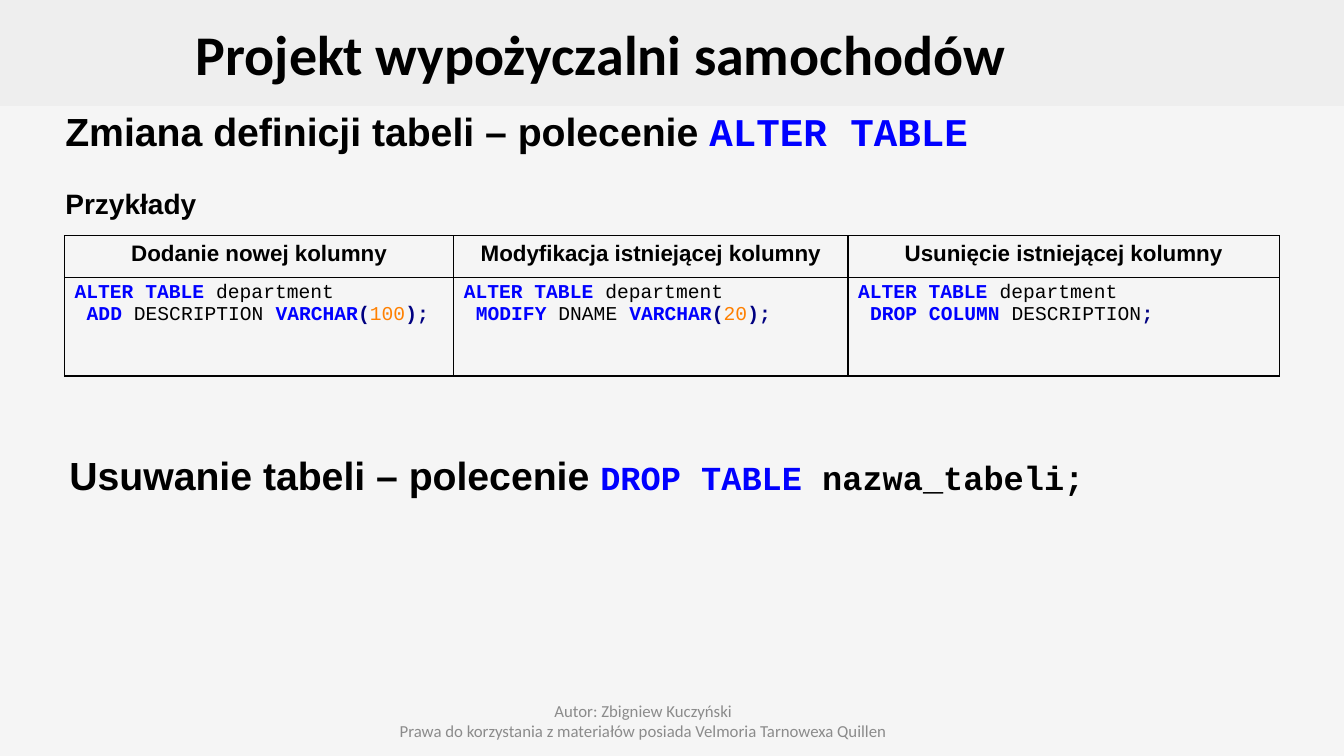
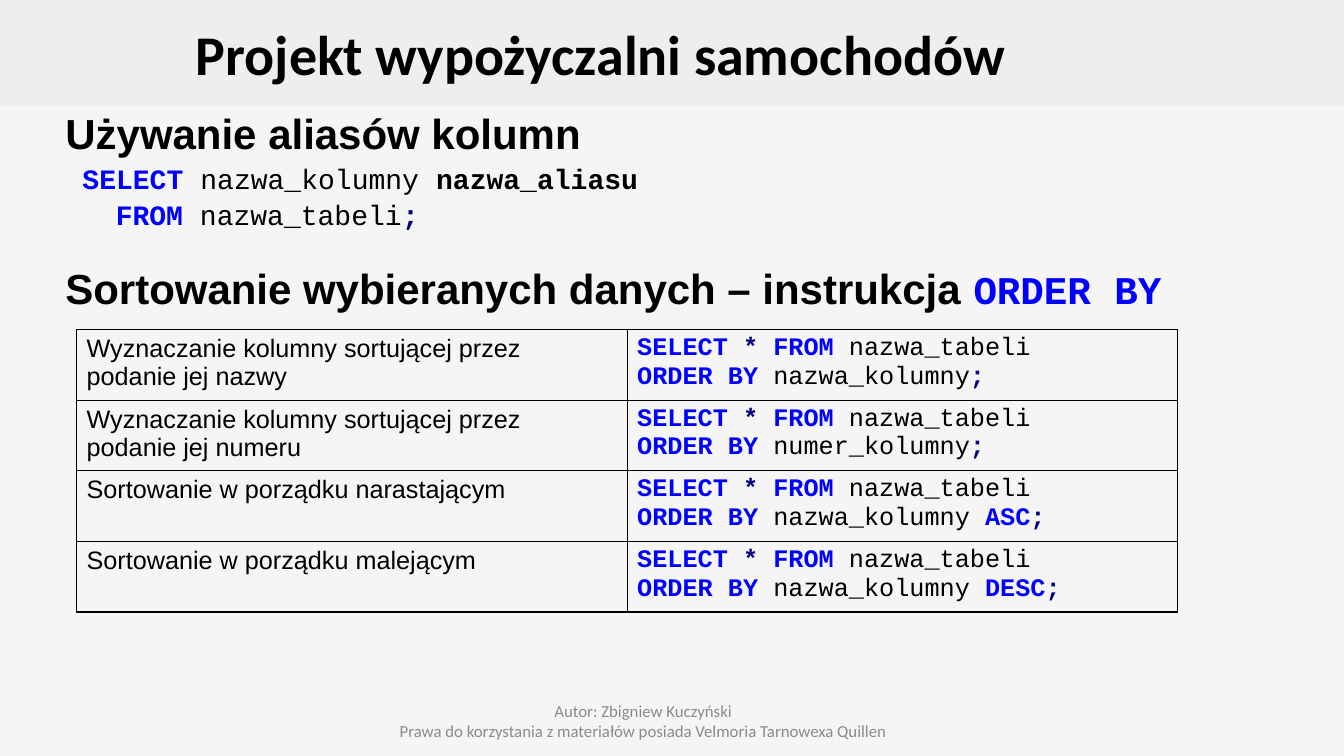
"""Build two SQL lesson slides about altering, dropping and sorting tables."""
from dataclasses import dataclass
from functools import partial
from typing import Optional

from lxml.etree import SubElement
from pptx import Presentation
from pptx.dml.color import RGBColor
from pptx.enum.shapes import MSO_SHAPE as Shape
from pptx.enum.text import MSO_ANCHOR as Anchor, PP_ALIGN as Align
from pptx.oxml.ns import qn
from pptx.util import Inches, Pt

SANS, MONO, TITLE_FONT = "Arial", "Courier New", "Calibri"
PAGE, BAND, INK, MUTED = "F5F5F5", "EEEEEE", "000000", "8B8B8B"
BLUE, NAVY, ORANGE = "0000FF", "000080", "FF8000"
SLIDE_WIDTH, BAND_HEIGHT = 13.33, 1.05
BODY_LEFT, BODY_WIDTH = 0.55, 12.3
BODY_GAP = 3
TITLE = "Projekt wypożyczalni samochodów"
FOOTER = (
    "Autor: Zbigniew Kuczyński",
    "Prawa do korzystania z materiałów posiada Velmoria Tarnowexa Quillen",
)


@dataclass
class Run:
    text: str
    color: Optional[str] = None
    bold: Optional[bool] = None
    font: Optional[str] = None
    size: Optional[float] = None


@dataclass
class Line:
    runs: list
    size: float
    font: str = SANS
    bold: bool = False
    color: str = INK
    align: Align = Align.LEFT
    indent: float = 0
    gap: float = 0


keyword = partial(Run, color=BLUE, bold=True)
sign = partial(Run, color=NAVY, bold=True)
number = partial(Run, color=ORANGE)
code_line = partial(Line, font=MONO)


def rgb(value):
    return RGBColor.from_string(value)


def style_font(font, name, size, bold, color):
    if name is not None:
        font.name = name
    if size is not None:
        font.size = Pt(size)
    if bold is not None:
        font.bold = bold
    if color is not None:
        font.color.rgb = rgb(color)


def write_lines(frame, lines):
    for index, line in enumerate(lines):
        paragraph = frame.add_paragraph() if index else frame.paragraphs[0]
        paragraph.alignment = line.align
        paragraph.space_before = Pt(line.gap)
        style_font(paragraph.font, line.font, line.size, line.bold, line.color)
        if line.indent:
            paragraph._p.get_or_add_pPr().set("marL", str(Inches(line.indent)))
        for part in line.runs:
            run = paragraph.add_run()
            run.text = part.text
            style_font(run.font, part.font, part.size, part.bold, part.color)


def add_text(slide, left, top, width, height, lines, anchor=Anchor.TOP):
    box = slide.shapes.add_textbox(
        Inches(left), Inches(top), Inches(width), Inches(height))
    box.text_frame.word_wrap = True
    box.text_frame.vertical_anchor = anchor
    write_lines(box.text_frame, lines)


def add_heading(slide, top, size, *runs, left=BODY_LEFT):
    heading = Line(runs, size, bold=True, gap=BODY_GAP)
    add_text(slide, left, top, BODY_WIDTH, 0.6, [heading])


def outline_cell(cell):
    properties = cell._tc.get_or_add_tcPr()
    for side in ("a:lnL", "a:lnR", "a:lnT", "a:lnB"):
        border = SubElement(properties, qn(side), w=str(Pt(1)))
        fill = SubElement(border, qn("a:solidFill"))
        SubElement(fill, qn("a:srgbClr"), val=INK)


def add_grid(slide, left, top, widths, heights, rows):
    frame = slide.shapes.add_table(
        len(heights), len(widths), Inches(left), Inches(top),
        Inches(sum(widths)), Inches(sum(heights)))
    table = frame.table
    table.first_row = table.horz_banding = False
    for column, width in zip(table.columns, widths):
        column.width = Inches(width)
    for row, height, contents in zip(table.rows, heights, rows):
        row.height = Inches(height)
        for cell, lines in zip(row.cells, contents):
            outline_cell(cell)
            cell.fill.background()
            write_lines(cell.text_frame, lines)


def add_lesson_slide(deck):
    slide = deck.slides.add_slide(deck.slide_layouts[6])
    slide.background.fill.solid()
    slide.background.fill.fore_color.rgb = rgb(PAGE)
    band = slide.shapes.add_shape(
        Shape.RECTANGLE, 0, 0, Inches(SLIDE_WIDTH), Inches(BAND_HEIGHT))
    band.shadow.inherit = False
    band.fill.solid()
    band.fill.fore_color.rgb = rgb(BAND)
    band.line.fill.background()
    title = Line([Run(TITLE)], 40, TITLE_FONT, True, align=Align.CENTER, gap=2.8)
    add_text(slide, 0, 0, 11.91, BAND_HEIGHT, [title], Anchor.MIDDLE)
    credits = [Line([Run(text)], 12, TITLE_FONT, color=MUTED, align=Align.CENTER)
               for text in FOOTER]
    add_text(slide, 3.25, 6.95, 6.26, 0.4, credits, Anchor.MIDDLE)
    return slide


def alter_example(*action):
    return [
        code_line([keyword("ALTER TABLE"), Run(" department")], 14),
        code_line(action, 14, indent=0.12),
    ]


def sort_example(column, order=None):
    ending = [Run(" "), keyword(order)] if order else []
    return [
        code_line([keyword("SELECT "), sign("* "), keyword("FROM "),
                   Run("nazwa_tabeli")], 18),
        code_line([keyword("ORDER BY "), Run(column), *ending, sign(";")], 18),
    ]


def build_alter_slide(deck):
    slide = add_lesson_slide(deck)
    add_heading(slide, 1.02, 28, Run("Zmiana definicji tabeli – polecenie "),
                keyword("ALTER TABLE", font=MONO))
    add_heading(slide, 1.8, 20, Run("Przykłady"))
    add_heading(slide, 4.43, 28, Run("Usuwanie tabeli – polecenie "),
                keyword("DROP TABLE ", font=MONO, size=24),
                Run("nazwa_tabeli;", font=MONO, size=24), left=BODY_LEFT + 0.04)
    captions = ("Dodanie nowej kolumny", "Modyfikacja istniejącej kolumny",
                "Usunięcie istniejącej kolumny")
    header = [[Line([Run(caption)], 16, bold=True, align=Align.CENTER)]
              for caption in captions]
    examples = [
        alter_example(keyword("ADD"), Run(" DESCRIPTION "), keyword("VARCHAR"),
                      sign("("), number("100"), sign(");")),
        alter_example(keyword("MODIFY"), Run(" DNAME "), keyword("VARCHAR"),
                      sign("("), number("20"), sign(");")),
        alter_example(keyword("DROP COLUMN"), Run(" DESCRIPTION"), sign(";")),
    ]
    add_grid(slide, 0.64, 2.34, (3.86, 3.91, 4.28), (0.41, 0.98),
             (header, examples))


def build_sort_slide(deck):
    slide = add_lesson_slide(deck)
    add_heading(slide, 1.02, 30, Run("Używanie aliasów kolumn"))
    alias_query = [
        code_line([keyword("SELECT "), Run("nazwa_kolumny "),
                   Run("nazwa_aliasu", bold=True)], 20, indent=0.17, gap=2),
        code_line([keyword("FROM "), Run("nazwa_tabeli"), sign(";")], 20,
                  indent=0.5, gap=2),
    ]
    add_text(slide, BODY_LEFT, 1.55, BODY_WIDTH, 0.8, alias_query)
    add_heading(slide, 2.56, 30, Run("Sortowanie wybieranych danych – instrukcja "),
                keyword("ORDER BY", font=MONO, size=28))
    methods = (
        ("Wyznaczanie kolumny sortującej przez podanie jej nazwy",
         sort_example("nazwa_kolumny")),
        ("Wyznaczanie kolumny sortującej przez podanie jej numeru",
         sort_example("numer_kolumny")),
        ("Sortowanie w porządku narastającym",
         sort_example("nazwa_kolumny", "ASC")),
        ("Sortowanie w porządku malejącym",
         sort_example("nazwa_kolumny", "DESC")),
    )
    rows = [([Line([Run(method)], 18)], query) for method, query in methods]
    add_grid(slide, 0.76, 3.27, (5.46, 5.46), (0.7,) * len(rows), rows)


def main():
    deck = Presentation()
    deck.slide_width, deck.slide_height = Inches(SLIDE_WIDTH), Inches(7.5)
    build_alter_slide(deck)
    build_sort_slide(deck)
    deck.save("out.pptx")


if __name__ == "__main__":
    main()
